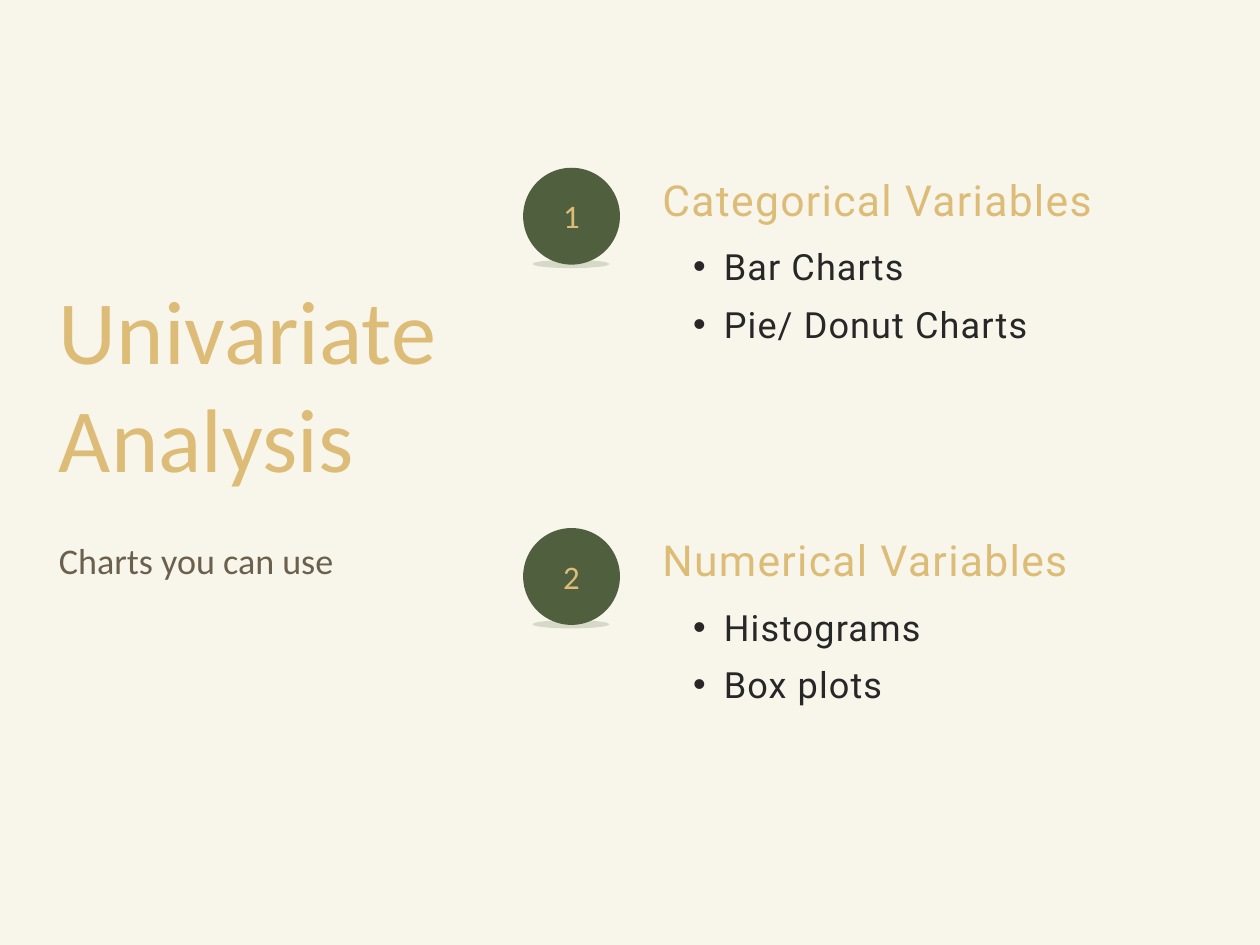
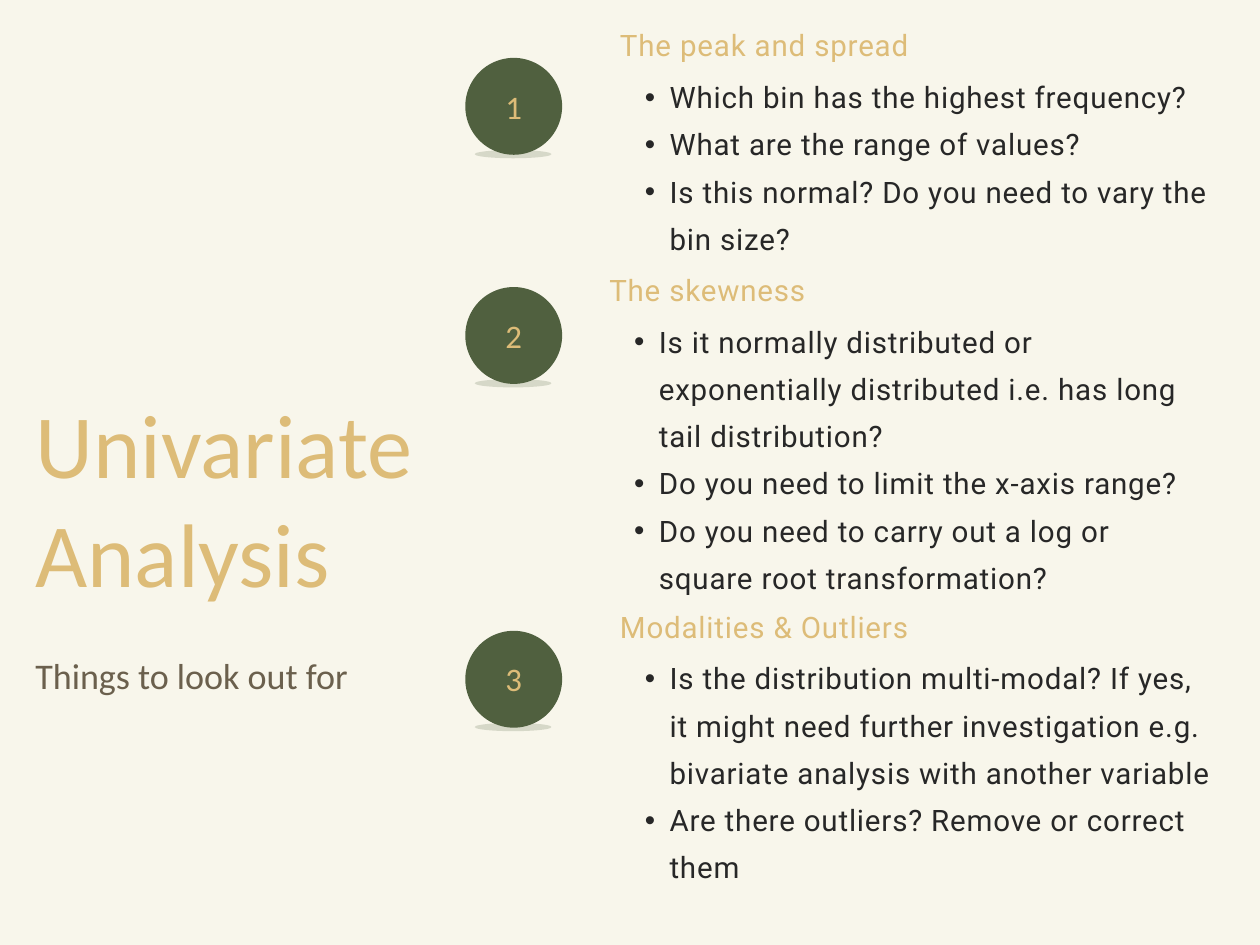
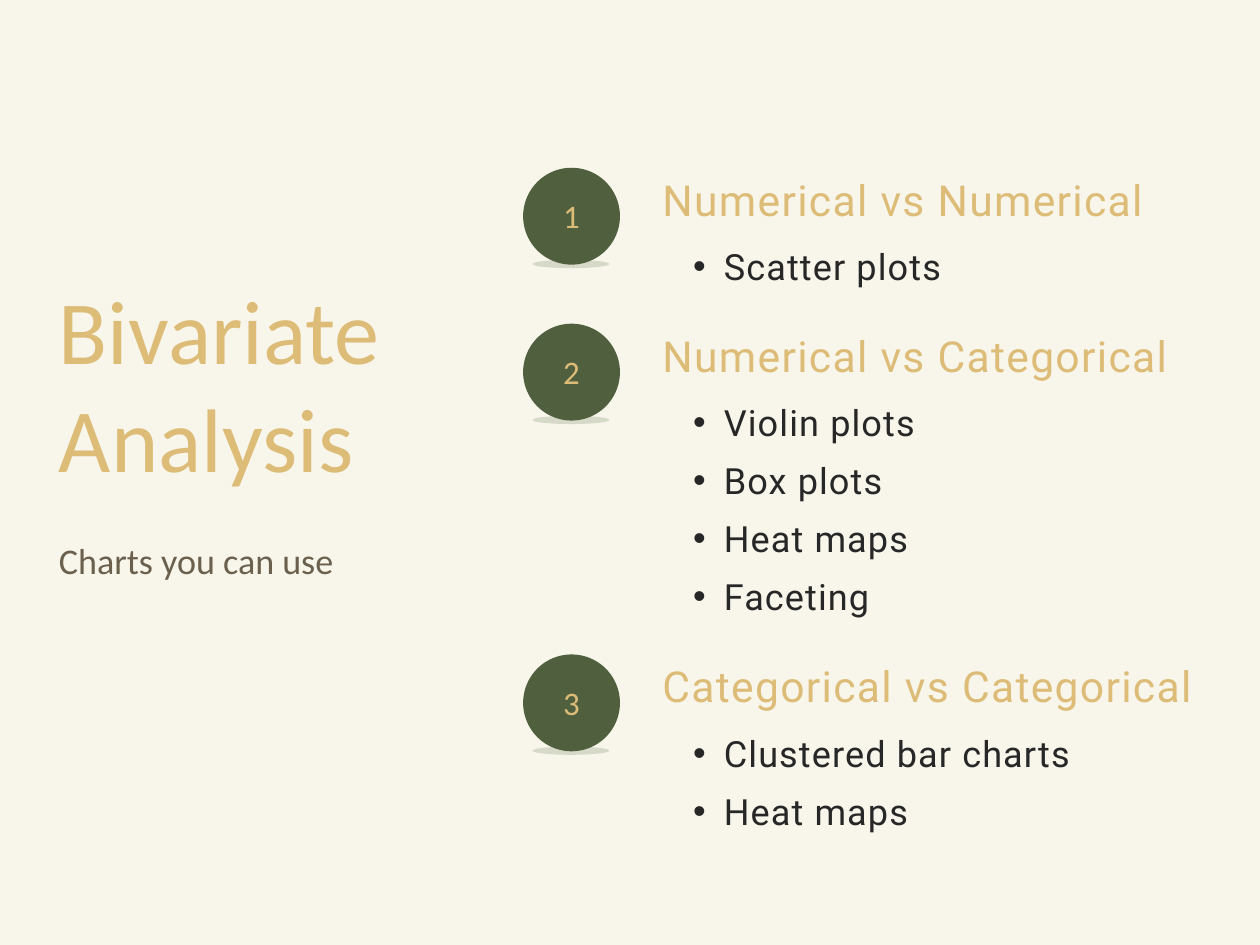
from dataclasses import dataclass

from lxml import etree
from pptx import Presentation
from pptx import util as u
from pptx.dml.color import RGBColor
from pptx.enum import shapes, text
from pptx.oxml import ns

COLORS = {
    "paper": "F8F6EB",
    "gold": "DDBC78",
    "green": "50603F",
    "brown": "6B604D",
    "ink": "272727",
}


@dataclass
class TextStyle:
    size: float
    leading: float
    color: str
    font: str = "Calibri"
    spacing: float = 0


@dataclass
class TopicStyle:
    heading: TextStyle
    bullet: TextStyle
    heading_height: float
    bullet_gap: float
    indent: float


TITLE = TextStyle(55, 66, "gold")
SUBTITLE = TextStyle(22, 30.8, "brown")
NUMBER = TextStyle(20, 24, "gold")
LARGE = TopicStyle(TextStyle(26, 39.8, "gold", "Roboto", 0.8),
                   TextStyle(22, 35.2, "ink", "Roboto", 0.7), 0.5, 0.6, 0.26)
SMALL = TopicStyle(TextStyle(18, 27.5, "gold", "Roboto", 0.5),
                   TextStyle(18, 28.8, "ink", "Roboto", 0.5), 0.37, 0.42, 0.21)


def rgb(name):
    return RGBColor.from_string(COLORS[name])


class Deck:
    def __init__(self):
        self.prs = Presentation()
        self.prs.slide_width = u.Inches(10.67)
        self.prs.slide_height = u.Inches(8)
        fill = self.prs.slide_master.background.fill
        fill.solid()
        fill.fore_color.rgb = rgb("paper")
        self.s = None

    def new_slide(self, title, subtitle, left, top):
        self.s = self.prs.slides.add_slide(self.prs.slide_layouts[6])
        self.text([title], left, top, 3.63, 1.82, TITLE)
        self.text([subtitle], left, top + 2.18, 3.27, 0.41, SUBTITLE)

    def text(self, lines, left, top, width, height, style,
             align=text.PP_ALIGN.LEFT, indent=0, parent=None):
        """Add a text box with one paragraph per line; an indent makes bullets."""
        sp = (parent or self.s).shapes.add_textbox(
            *map(u.Inches, (left, top, width, height)))
        tf = sp.text_frame
        tf.word_wrap = True
        tf.auto_size = text.MSO_AUTO_SIZE.SHAPE_TO_FIT_TEXT
        tf.margin_left = tf.margin_top = tf.margin_right = tf.margin_bottom = 0
        tf.text = "\n".join(lines)
        for p in tf.paragraphs:
            p.alignment = align
            p.line_spacing = u.Pt(style.leading)
            if indent:
                self.bullet(p, indent)
            for r in p.runs:
                r.font.name = style.font
                r.font.size = u.Pt(style.size)
                r.font.color.rgb = rgb(style.color)
                if style.spacing:
                    r.font._element.set("spc", str(round(style.spacing * 100)))

    def bullet(self, p, indent):
        p.level = 1
        pPr = p._p.get_or_add_pPr()
        pPr.set("marL", str(u.Inches(2 * indent)))
        pPr.set("indent", str(-u.Inches(indent)))
        etree.SubElement(pPr, ns.qn("a:buFont")).set("typeface", "Arial")
        etree.SubElement(pPr, ns.qn("a:buChar")).set("char", "•")

    def oval(self, parent, left, top, width, height, opacity=100):
        sp = parent.shapes.add_shape(shapes.MSO_SHAPE.OVAL,
                                     *map(u.Inches, (left, top, width, height)))
        sp.shadow.inherit = False
        sp.fill.solid()
        sp.fill.fore_color.rgb = rgb("green")
        sp.line.fill.background()
        if opacity < 100:
            clr = sp._element.spPr.find(".//" + ns.qn("a:srgbClr"))
            etree.SubElement(clr, ns.qn("a:alpha")).set("val", str(opacity * 1000))

    def badge(self, number, left, top):
        """Add a numbered disc standing on its flat shadow."""
        group = self.s.shapes.add_group_shape()
        self.oval(group, left + 0.08, top + 0.78, 0.65, 0.07, opacity=20)
        self.oval(group, left, top, 0.82, 0.82)
        self.text([str(number)], left + 0.19, top + 0.24, 0.44, 0.34, NUMBER,
                  text.PP_ALIGN.CENTER, parent=group)

    def topic(self, heading, bullets, left, top, width, style, rows):
        """Add a heading with its bullets, which take the given number of rows."""
        self.text([heading], left, top, width, style.heading_height, style.heading)
        height = rows * style.bullet.leading / 72 - 0.05
        self.text(bullets, left, top + style.bullet_gap, width, height,
                  style.bullet, indent=style.indent)

    def chart_guide(self, title, width, topics):
        """Add a slide that lists the charts suited to each kind of variable."""
        self.new_slide(title, "Charts you can use", 0.5, 2.32)
        for number, (top, heading, charts) in enumerate(topics, 1):
            self.badge(number, 4.43, top + 0.07)
            self.topic(heading, charts, 5.61, top, width, LARGE, len(charts))

    def checklist(self, title, subtitle, topics):
        """Add a slide of questions, whose badges are placed on their own."""
        self.new_slide(title, subtitle, 0.3, 3.29)
        for number, (badge_top, left, top, rows, heading, questions) in enumerate(topics, 1):
            self.badge(number, 3.94, badge_top)
            self.topic(heading, questions, left, top, 10.26 - left, SMALL, rows)


def main():
    deck = Deck()
    deck.chart_guide("Univariate Analysis", 4.26, [
        (1.35, "Categorical Variables", ["Bar Charts", "Pie/ Donut Charts"]),
        (4.4, "Numerical Variables", ["Histograms", "Box plots"]),
    ])
    deck.checklist("Univariate Analysis", "Things to look out for", [
        (0.49, 5.25, 0.15, 4, "The peak and spread", [
            "Which bin has the highest frequency?",
            "What are the range of values?",
            "Is this normal? Do you need to vary the bin size?",
        ]),
        (2.43, 5.16, 2.22, 6, "The skewness", [
            "Is it normally distributed or exponentially distributed i.e. "
            "has long tail distribution?",
            "Do you need to limit the x-axis range?",
            "Do you need to carry out a log or square root transformation?",
        ]),
        (5.34, 5.25, 5.07, 6, "Modalities & Outliers", [
            "Is the distribution multi-modal? If yes, it might need further "
            "investigation e.g. bivariate analysis with another variable",
            "Are there outliers? Remove or correct them",
        ]),
    ])
    deck.chart_guide("Bivariate Analysis", 4.58, [
        (1.35, "Numerical vs Numerical", ["Scatter plots"]),
        (2.67, "Numerical vs Categorical",
         ["Violin plots", "Box plots", "Heat maps", "Faceting"]),
        (5.47, "Categorical vs Categorical", ["Clustered bar charts", "Heat maps"]),
    ])
    deck.prs.save("out.pptx")


if __name__ == "__main__":
    main()
